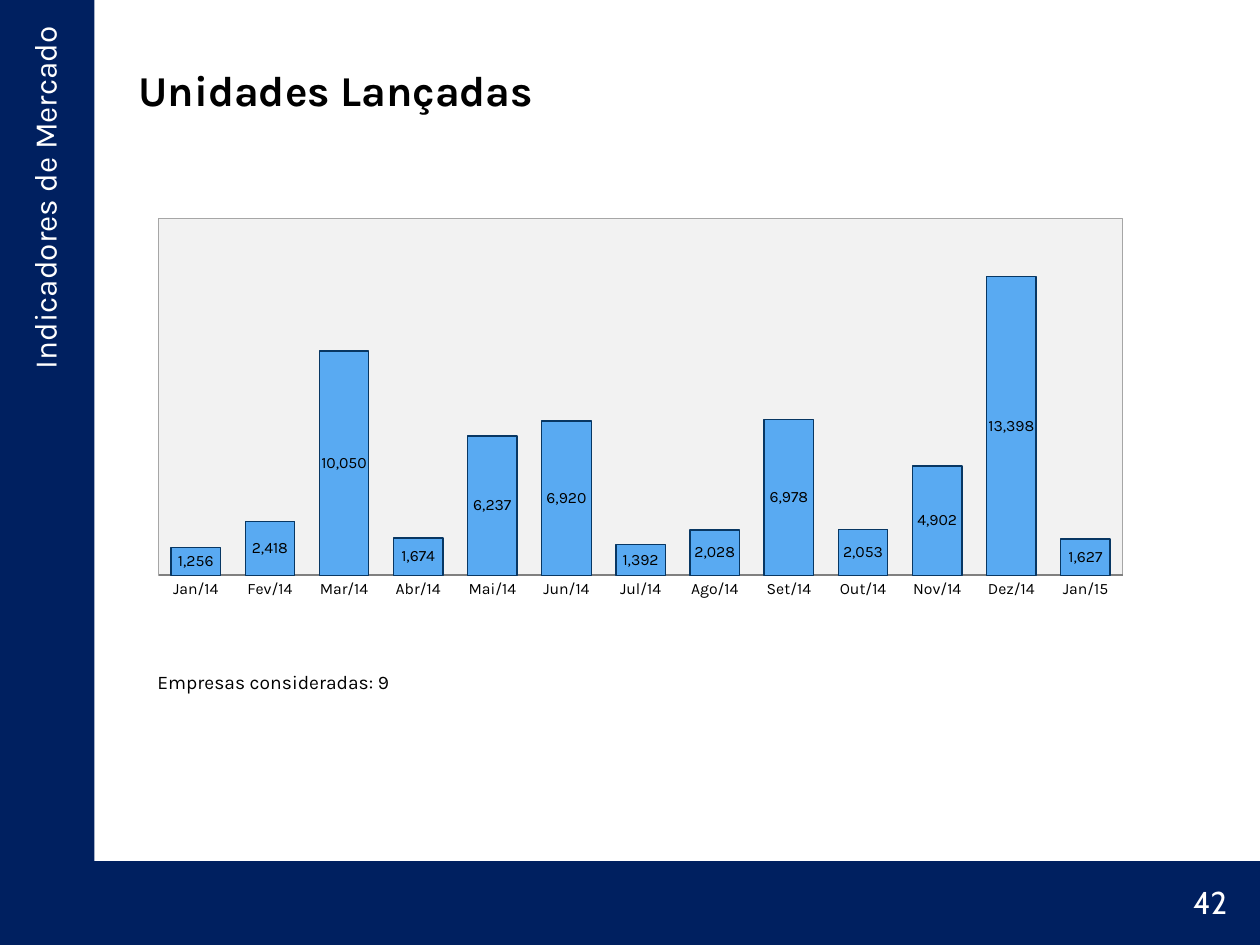
import pptx
import pptx.chart.data
import pptx.dml.color
import pptx.enum.chart
import pptx.enum.shapes
import pptx.enum.text
import pptx.oxml
import pptx.oxml.ns
import pptx.util

Pt = pptx.util.Pt
Align = pptx.enum.text.PP_ALIGN
Anchor = pptx.enum.text.MSO_ANCHOR

NAVY, WHITE, BLACK = "002060", "FFFFFF", "000000"
MONTHS = ["Jan/14", "Fev/14", "Mar/14", "Abr/14", "Mai/14", "Jun/14", "Jul/14",
          "Ago/14", "Set/14", "Out/14", "Nov/14", "Dez/14", "Jan/15"]
UNITS = [1256, 2418, 10050, 1674, 6237, 6920, 1392,
         2028, 6978, 2053, 4902, 13398, 1627]

PLOT_LAYOUT = """<c:layout {ns}><c:manualLayout>
<c:layoutTarget val="inner"/><c:xMode val="edge"/><c:yMode val="edge"/>
<c:x val="0.02"/><c:y val="0.02"/><c:w val="0.96"/><c:h val="0.9"/>
</c:manualLayout></c:layout>"""
PLOT_FORMAT = """<c:spPr {ns}><a:solidFill><a:srgbClr val="{fill}"/></a:solidFill>
<a:ln w="9525"><a:solidFill><a:srgbClr val="{line}"/></a:solidFill></a:ln></c:spPr>"""


def rgb(value):
    return pptx.dml.color.RGBColor.from_string(value)


class SlideBuilder:
    font = "Karla"

    def __init__(self, slide):
        self.slide = slide

    def format_font(self, font, size, color=BLACK, name=None, bold=False):
        font.name = name or self.font
        font.size = Pt(size)
        font.bold = bold
        font.color.rgb = rgb(color)

    def add_words(self, frame, words, size, align=Align.LEFT, **style):
        paragraph = frame.paragraphs[0]
        paragraph.alignment = align
        run = paragraph.add_run()
        run.text = words
        self.format_font(run.font, size, **style)

    def band(self, *box):
        band = self.slide.shapes.add_shape(
            pptx.enum.shapes.MSO_SHAPE.RECTANGLE, *map(Pt, box))
        band.shadow.inherit = False
        band.fill.solid()
        band.fill.fore_color.rgb = rgb(NAVY)
        band.line.fill.background()

    def title(self, words, box, size, top_inset):
        title = self.slide.shapes.title
        title.left, title.top, title.width, title.height = map(Pt, box)
        frame = title.text_frame
        frame.auto_size = pptx.enum.text.MSO_AUTO_SIZE.NONE
        frame.vertical_anchor = Anchor.MIDDLE
        frame.margin_top = Pt(top_inset)
        self.add_words(frame, words, size, bold=True)

    def text(self, words, box, size, rotation=0, **style):
        label = self.slide.shapes.add_textbox(*map(Pt, box))
        label.rotation = rotation
        label.text_frame.word_wrap = True
        self.add_words(label.text_frame, words, size, **style)

    def column_chart(self, box, categories, name, values, top):
        data = pptx.chart.data.CategoryChartData(number_format="#,##0")
        data.categories = categories
        data.add_series(name, values)
        chart = self.slide.shapes.add_chart(
            pptx.enum.chart.XL_CHART_TYPE.COLUMN_STACKED, *map(Pt, box), data).chart
        chart.has_legend = False
        chart.has_title = False
        self.format_font(chart.font, 10, name="Cabin")

        months = chart.category_axis
        months.has_major_gridlines = False
        months.major_tick_mark = pptx.enum.chart.XL_TICK_MARK.NONE
        months.format.line.color.rgb = rgb("808080")
        months.format.line.width = Pt(1)
        self.format_font(months.tick_labels.font, 9)

        scale = chart.value_axis
        scale.visible = False
        scale.has_major_gridlines = False
        scale.minimum_scale, scale.maximum_scale = 0, top

        plot = chart.plots[0]
        plot.vary_by_categories = False
        plot.gap_width, plot.overlap = 50, 100
        columns = plot.series[0].format
        columns.fill.solid()
        columns.fill.fore_color.rgb = rgb("59AAF2")
        columns.line.color.rgb = rgb("083763")
        columns.line.width = Pt(0.75)

        labels = plot.series[0].data_labels
        labels.show_value = True
        labels.position = pptx.enum.chart.XL_LABEL_POSITION.CENTER
        labels.number_format = "#,##0"
        labels.number_format_is_linked = False
        self.format_font(labels.font, 9)
        self.format_plot_area(chart, "F2F2F2", "A6A6A6")

    def format_plot_area(self, chart, fill, line):
        area = chart.plots[0]._element.getparent()
        for old in area.findall(pptx.oxml.ns.qn("c:layout")):
            area.remove(old)
        ns = pptx.oxml.ns.nsdecls("c", "a")
        area.insert(0, pptx.oxml.parse_xml(PLOT_LAYOUT.format(ns=ns)))
        area.append(pptx.oxml.parse_xml(
            PLOT_FORMAT.format(ns=ns, fill=fill, line=line)))


def main():
    deck = pptx.Presentation()
    deck.slide_width, deck.slide_height = Pt(720), Pt(540)
    page = SlideBuilder(deck.slides.add_slide(deck.slide_layouts[5]))

    page.band(0, 492, 720, 48)
    page.band(0, 0, 54, 492)
    page.text("Indicadores de Mercado", (-183.6, 202.3, 417.6, 28.8), 18,
              rotation=270, align=Align.RIGHT, color=WHITE)
    page.title("Unidades Lançadas", (72, 20.2, 612, 50.4), 24.3, top_inset=15)
    page.column_chart((79.2, 120.2, 573.8, 226.8), MONTHS, "Series 1", UNITS, 16000)
    page.text("Empresas consideradas: 9", (82.8, 379.4, 152.6, 20.9), 11)
    page.text("42", (642.2, 501.1, 66.2, 28.8), 18,
              align=Align.RIGHT, color=WHITE, name="Cabin")
    deck.save("out.pptx")


if __name__ == "__main__":
    main()
